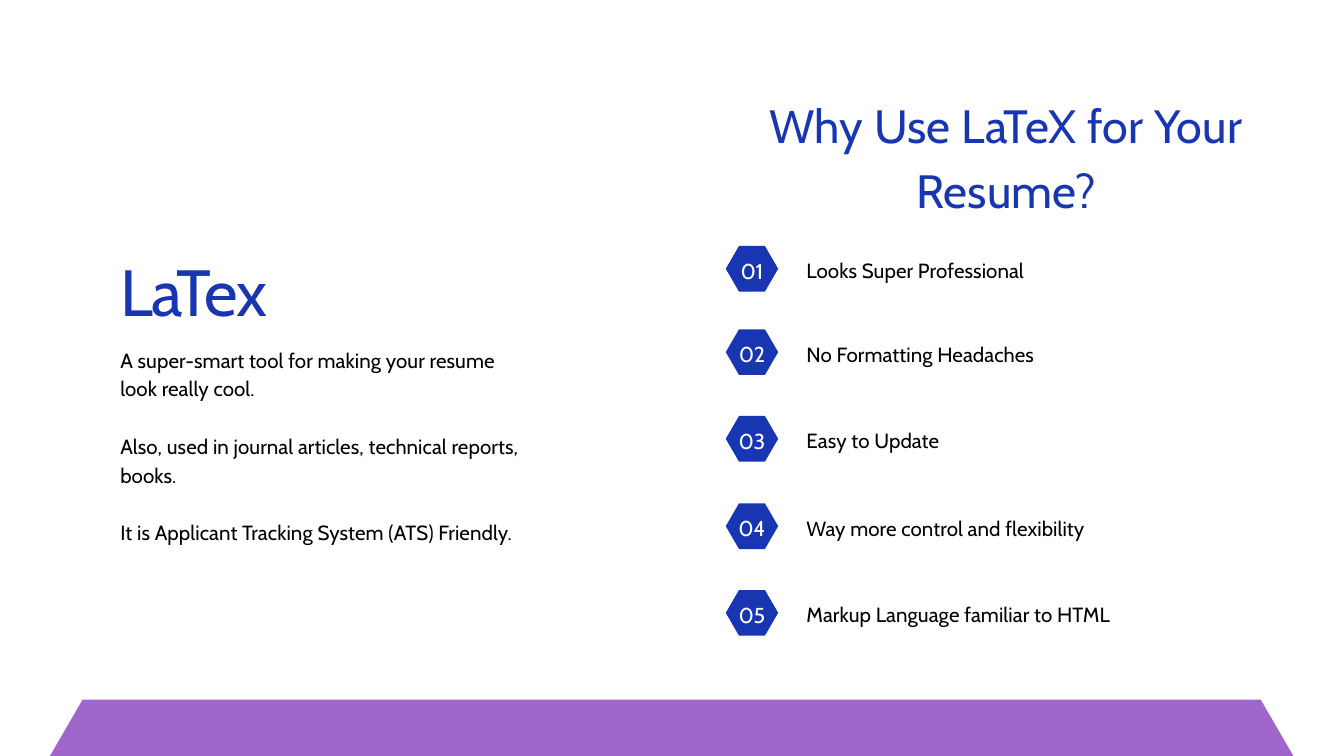
from dataclasses import dataclass

from pptx import Presentation
from pptx.dml.color import RGBColor
from pptx.enum.shapes import MSO_SHAPE
from pptx.enum.text import PP_ALIGN
from pptx.util import Pt

HEX = MSO_SHAPE.HEXAGON
LEFT, MID = PP_ALIGN.LEFT, PP_ALIGN.CENTER

# Content: lengths in px, 100 px to the inch
INTRO = [
    "A super-smart tool for making your resume look really cool.",
    "Also, used in journal articles, technical reports, books.",
    "It is Applicant Tracking System (ATS) Friendly.",
]
REASONS = [  # top, text
    (366, "Looks Super Professional"),
    (490, "No Formatting Headaches"),
    (619, "Easy to Update"),
    (749, "Way more control and flexibility"),
    (878, "Markup Language familiar to HTML"),
]


@dataclass
class Style:
    size: float
    line: float
    color: str
    track: int  # letter spacing, hundredths of a point
    align: int = LEFT


class Theme:
    font = "Cabin"
    blue, purple = "1836B2", "A066CB"
    brand = Style(70, 98, blue, -140)
    title = Style(50, 70, blue, 20, MID)
    body = Style(22, 30.8, "000000", 10)
    badge = Style(23.1, 32.4, "FFFFFF", -50, MID)


def px(*vals):
    return [v * 9144 for v in vals]


def add_hex(slide, box, color):
    shape = slide.shapes.add_shape(HEX, *px(*box))
    shape.adjustments[0] = 0.29
    shape.shadow.inherit = False
    shape.fill.solid()
    shape.fill.fore_color.rgb = RGBColor.from_string(color)
    shape.line.fill.background()


def add_text(slide, box, lines, style):
    """Add a text box whose paragraphs stand one line apart."""
    frame = slide.shapes.add_textbox(*px(*box)).text_frame
    frame.word_wrap = True
    frame.margin_left = frame.margin_right = 0
    frame.margin_top = frame.margin_bottom = 0
    for i, line in enumerate(lines):
        para = frame.add_paragraph() if i else frame.paragraphs[0]
        para.text = line
        para.alignment = style.align
        para.line_spacing = Pt(style.line)
        if i:
            para.space_before = Pt(style.line)
        font = para.font
        font.name, font.size = Theme.font, Pt(style.size)
        font.color.rgb = RGBColor.from_string(style.color)
        font._element.set("spc", str(style.track))


def main():
    deck = Presentation()
    deck.slide_width, deck.slide_height = px(2000, 1125)
    slide = deck.slides.add_slide(deck.slide_layouts[6])

    add_hex(slide, (74, 1041, 1851, 169), Theme.purple)
    add_text(slide, (179, 355, 596, 127), ["LaTex"], Theme.brand)
    add_text(slide, (179, 511, 596, 339), INTRO, Theme.body)
    add_text(slide, (1050, 130, 895, 190),
             ["Why Use LaTeX for Your Resume?"], Theme.title)

    for num, (top, text) in enumerate(REASONS, 1):
        add_hex(slide, (1080, top, 78, 68), Theme.blue)
        add_text(slide, (1097, top + 11, 44, 42), [f"{num:02}"], Theme.badge)
        add_text(slide, (1200, top + 12, 571, 41), [text], Theme.body)

    deck.save("out.pptx")


if __name__ == "__main__":
    main()
